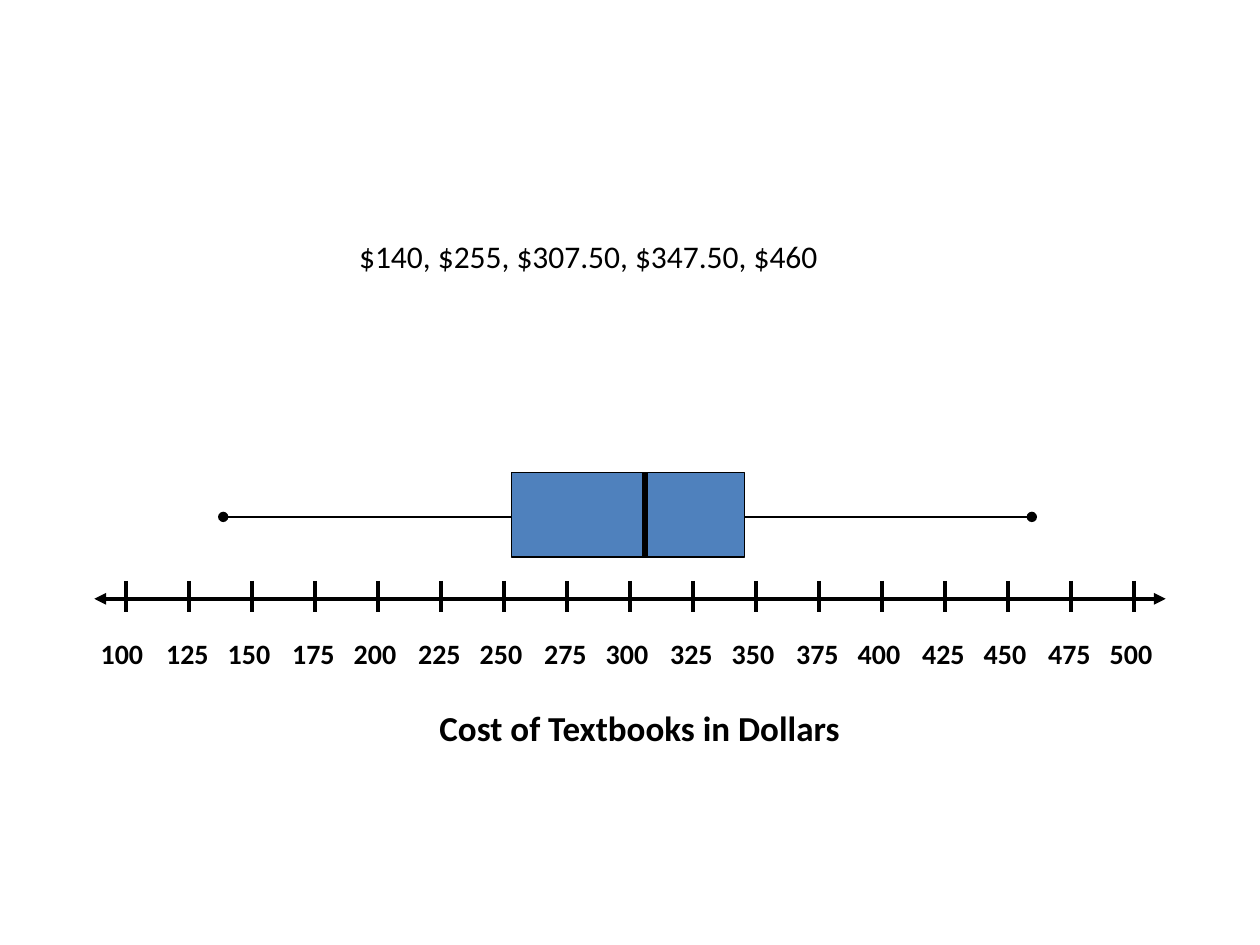
import pptx
import pptx.util
import pptx.dml.color
import pptx.enum.shapes
import pptx.enum.text
import pptx.oxml
import pptx.oxml.ns
import lxml.etree

Cm = pptx.util.Cm
Pt = pptx.util.Pt
qn = pptx.oxml.ns.qn
HUES = {"ink": "000000", "box": "4F81BD"}
FONT = "Calibri"
FIRST, STEP = 2.54, 1.27
COSTS = range(100, 501, 25)


def hue(name):
    return pptx.dml.color.RGBColor.from_string(HUES[name])


def add_line(slide, start, end, width, ends=None):
    kind = pptx.enum.shapes.MSO_CONNECTOR.STRAIGHT
    line = slide.shapes.add_connector(kind, *map(Cm, start + end))
    line.line.color.rgb = hue("ink")
    line.line.width = Pt(width)
    props = line._element.spPr
    if ends:
        for tag in ("a:headEnd", "a:tailEnd"):
            lxml.etree.SubElement(props.find(qn("a:ln")), qn(tag), type=ends)
    lxml.etree.SubElement(props, qn("a:effectLst"))


def add_box(slide, left, top, width, height):
    kind = pptx.enum.shapes.MSO_SHAPE.RECTANGLE
    box = slide.shapes.add_shape(kind, *map(Cm, (left, top, width, height)))
    box.shadow.inherit = False
    box.fill.solid()
    box.fill.fore_color.rgb = hue("box")
    box.line.color.rgb = hue("ink")
    box.line.width = Pt(0.75)


def add_text(slide, text, place, size=18, bold=False, wrap=False, tabs=()):
    frame = slide.shapes.add_textbox(*map(Cm, place)).text_frame
    frame.word_wrap = wrap
    frame.auto_size = pptx.enum.text.MSO_AUTO_SIZE.SHAPE_TO_FIT_TEXT
    para = frame.paragraphs[0]
    run = para.add_run()
    run.text = text
    run.font.name = FONT
    run.font.size = Pt(size)
    run.font.bold = bold
    run.font.color.rgb = hue("ink")
    if tabs:
        stops = lxml.etree.SubElement(para._p.get_or_add_pPr(), qn("a:tabLst"))
        for stop in tabs:
            lxml.etree.SubElement(stops, qn("a:tab"), pos=str(Cm(stop)), algn="ctr")


def add_scale(slide):
    add_line(slide, (1.9, 12.07), (23.5, 12.07), 2.25, "triangle")
    for i in range(len(COSTS)):
        x = FIRST + i * STEP
        add_line(slide, (x, 11.71), (x, 12.34), 2.25)


def add_marks(slide):
    stops = [0.48 + i * STEP - 0.03 * (i % 2 == 0) for i in range(1, len(COSTS))]
    add_text(slide, "\t".join(map(str, COSTS)), (1.78, 12.7, 22.35, 0.94),
             size=16, bold=True, wrap=True, tabs=stops)


def main():
    deck = pptx.Presentation()
    deck.slide_width, deck.slide_height = Cm(25.4), Cm(19.05)
    slide = deck.slides.add_slide(deck.slide_layouts[6])
    add_line(slide, (4.5, 10.42), (20.8, 10.42), 1.5, "oval")
    add_scale(slide)
    add_box(slide, 10.31, 9.53, 4.7, 1.7)
    add_line(slide, (13, 9.53), (13, 11.23), 3)
    add_text(slide, "Cost of Textbooks in Dollars", (8.61, 14.12, 8.66, 1.11),
             size=20, bold=True)
    add_marks(slide)
    add_text(slide, "$140, $255, $307.50, $347.50, $460", (6.99, 4.65, 9.86, 1.03))
    deck.save("out.pptx")


main()
